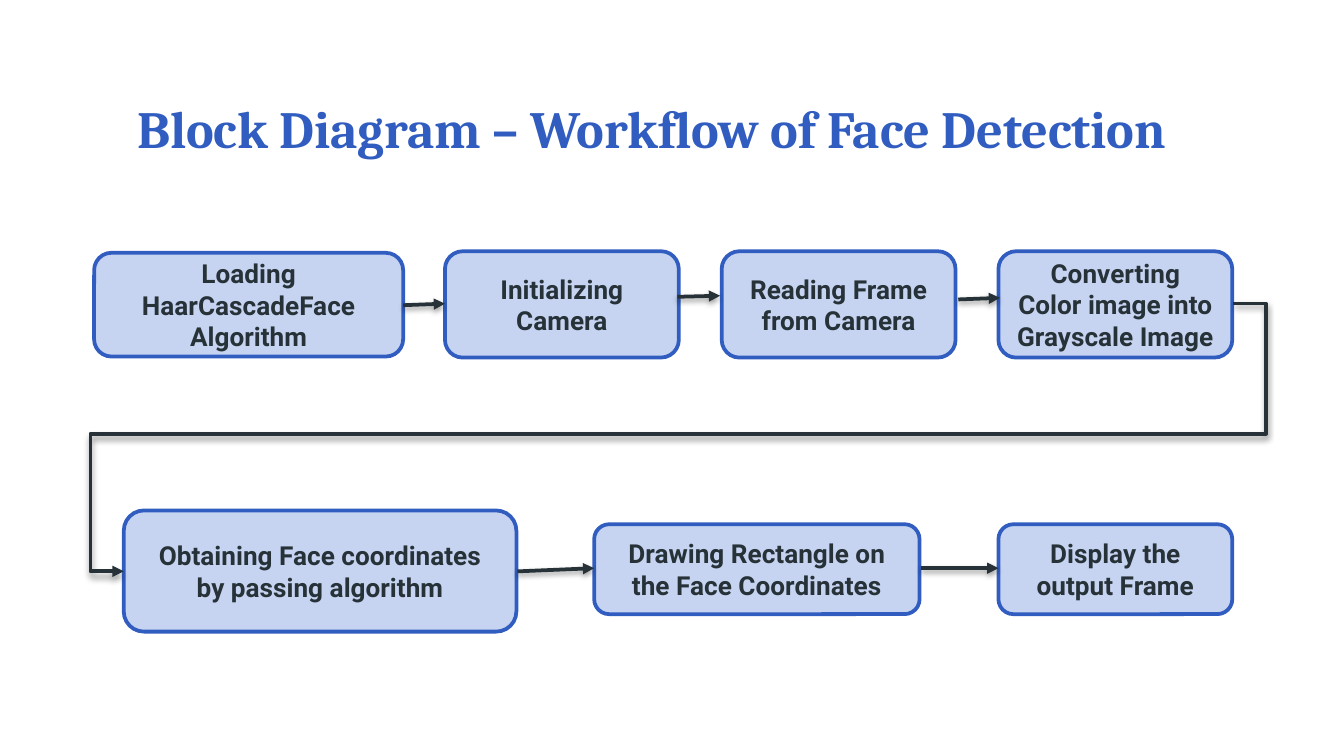
from dataclasses import dataclass

from lxml.etree import SubElement
from pptx import Presentation
from pptx.dml.color import RGBColor
from pptx.enum.shapes import MSO_CONNECTOR, MSO_SHAPE
from pptx.enum.text import MSO_ANCHOR, MSO_AUTO_SIZE, PP_ALIGN
from pptx.oxml.ns import qn
from pptx.shapes.connector import Connector
from pptx.slide import Slide
from pptx.text.text import TextFrame
from pptx.util import Cm, Pt


@dataclass(frozen=True)
class Theme:
    blue: RGBColor = RGBColor(0x30, 0x5D, 0xBF)
    pale: RGBColor = RGBColor(0xC7, 0xD4, 0xF1)
    ink: RGBColor = RGBColor(0x26, 0x32, 0x38)
    title_font: str = "Cambria"
    step_font: str = "Roboto"
    title_size: int = 28
    step_size: int = 14
    line_width: int = 2


@dataclass(frozen=True)
class Step:
    text: str
    left: float
    top: float
    width: float
    height: float


@dataclass(frozen=True)
class Arrow:
    start: tuple[float, float]
    end: tuple[float, float]


THEME = Theme()

# All lengths are centimetres
NARROW = 4.42
PITCH = 5.23
CAMERA_LEFT = 8.41
LAST_LEFT = CAMERA_LEFT + 2 * PITCH

STEPS = [
    Step("Loading HaarCascadeFace Algorithm", 1.78, 4.78, 5.84, 1.96),
    *(
        Step(text, CAMERA_LEFT + index * PITCH, 4.75, NARROW, 2.01)
        for index, text in enumerate((
            "Initializing Camera",
            "Reading Frame from Camera",
            "Converting Color image into Grayscale Image",
        ))
    ),
    Step("Obtaining Face coordinates by passing algorithm", 2.34, 9.65, 7.42, 2.29),
    Step("Drawing Rectangle on the Face Coordinates", 11.23, 9.91, 6.15, 1.7),
    Step("Display the output Frame", LAST_LEFT, 9.91, NARROW, 1.7),
]

ARROWS = [
    Arrow((7.62, 5.77), (8.41, 5.74)),
    Arrow((12.8, 5.61), (13.61, 5.59)),
    Arrow((18.11, 5.66), (18.9, 5.63)),
    Arrow((9.78, 10.8), (11.23, 10.74)),
    Arrow((17.4, 10.74), (18.87, 10.74)),
]
ROW_RETURN = Arrow((23.3, 5.74), (2.34, 10.8))
# Bend positions of the return line, in thousandths of a percent
RETURN_BENDS = (-3000, 48600, 103000)


def write(frame: TextFrame, text: str, font: str, size: int,
          color: RGBColor, align: PP_ALIGN) -> None:
    frame.word_wrap = True
    para = frame.paragraphs[0]
    para.alignment = align
    span = para.add_run()
    span.text = text
    span.font.name = font
    span.font.size = Pt(size)
    span.font.bold = True
    span.font.color.rgb = color


def add_title(page: Slide, text: str) -> None:
    title = page.shapes.title
    title.left, title.top, title.width, title.height = (
        Cm(value) for value in (2.34, 1.57, 21.49, 1.6))
    frame = title.text_frame
    frame.auto_size = MSO_AUTO_SIZE.NONE
    frame.vertical_anchor = MSO_ANCHOR.TOP
    frame.margin_left = frame.margin_right = Cm(0.25)
    frame.margin_top = frame.margin_bottom = Cm(0.25)
    write(frame, text, THEME.title_font, THEME.title_size, THEME.blue, PP_ALIGN.LEFT)


def add_step(page: Slide, step: Step) -> None:
    box = page.shapes.add_shape(
        MSO_SHAPE.ROUNDED_RECTANGLE,
        Cm(step.left), Cm(step.top), Cm(step.width), Cm(step.height))
    box.shadow.inherit = False
    box.fill.solid()
    box.fill.fore_color.rgb = THEME.pale
    box.line.color.rgb = THEME.blue
    box.line.width = Pt(THEME.line_width)
    box.text_frame.vertical_anchor = MSO_ANCHOR.MIDDLE
    write(box.text_frame, step.text, THEME.step_font, THEME.step_size,
          THEME.ink, PP_ALIGN.CENTER)


def add_arrow(page: Slide, arrow: Arrow,
              kind: MSO_CONNECTOR = MSO_CONNECTOR.STRAIGHT) -> Connector:
    line = page.shapes.add_connector(
        kind, *(Cm(value) for value in arrow.start + arrow.end))
    line.line.color.rgb = THEME.ink
    line.line.width = Pt(THEME.line_width)
    # Arrowhead and soft shadow below the line
    properties = line._element.spPr
    SubElement(properties.find(qn("a:ln")), qn("a:tailEnd"), type="triangle")
    effects = SubElement(properties, qn("a:effectLst"))
    shadow = SubElement(effects, qn("a:outerShdw"), blurRad=str(Pt(3.1)),
                        dist=str(Pt(1.6)), dir="5400000", rotWithShape="0")
    black = SubElement(shadow, qn("a:srgbClr"), val="000000")
    SubElement(black, qn("a:alpha"), val="38000")
    return line


def add_row_return(page: Slide, arrow: Arrow, bends: tuple[int, ...]) -> None:
    line = add_arrow(page, arrow, MSO_CONNECTOR.ELBOW)
    geometry = line._element.spPr.find(qn("a:prstGeom"))
    geometry.set("prst", "bentConnector5")
    guides = geometry.find(qn("a:avLst"))
    for number, bend in enumerate(bends, start=1):
        SubElement(guides, qn("a:gd"), name=f"adj{number}", fmla=f"val {bend}")


def main() -> None:
    deck = Presentation()
    deck.slide_width, deck.slide_height = Cm(25.4), Cm(14.29)
    page = deck.slides.add_slide(deck.slide_layouts[5])

    add_title(page, "Block Diagram – Workflow of Face Detection")

    # Workflow steps, then the lines that join them
    for step in STEPS:
        add_step(page, step)
    for arrow in ARROWS:
        add_arrow(page, arrow)
    add_row_return(page, ROW_RETURN, RETURN_BENDS)

    deck.save("out.pptx")


if __name__ == "__main__":
    main()
